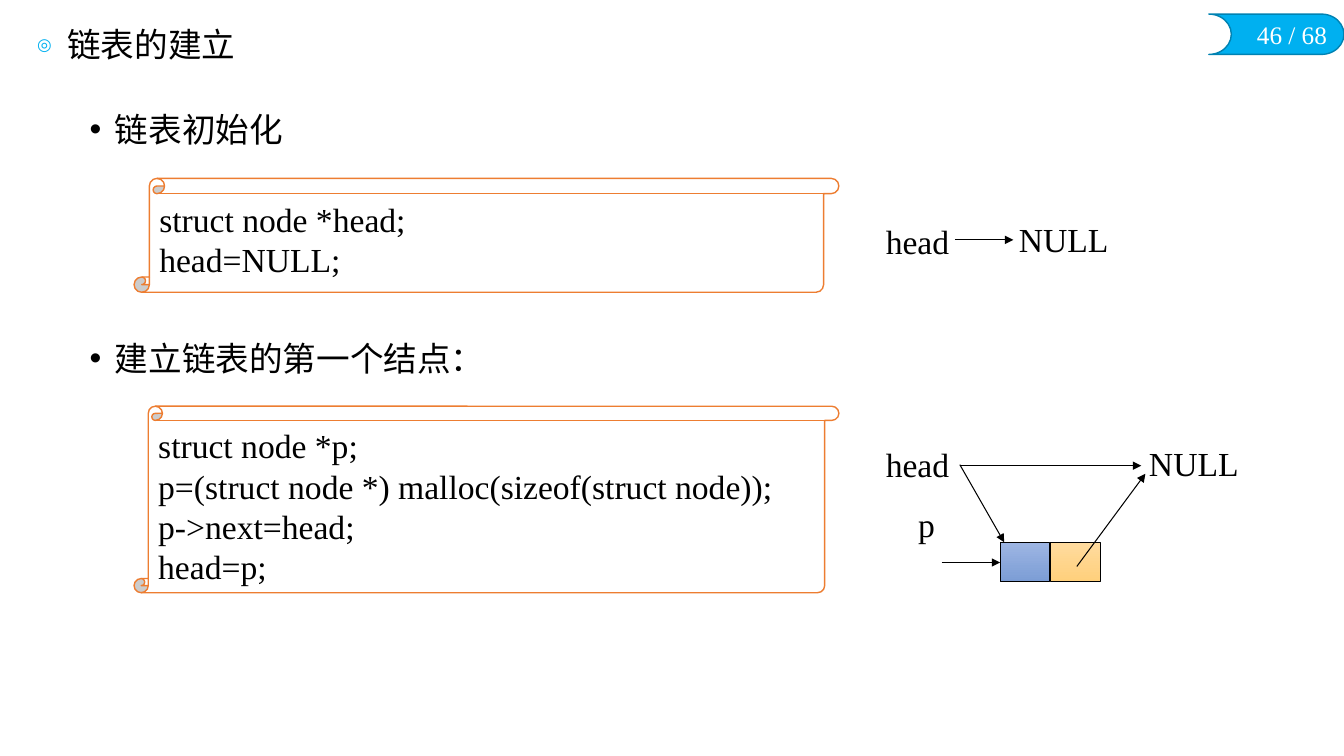
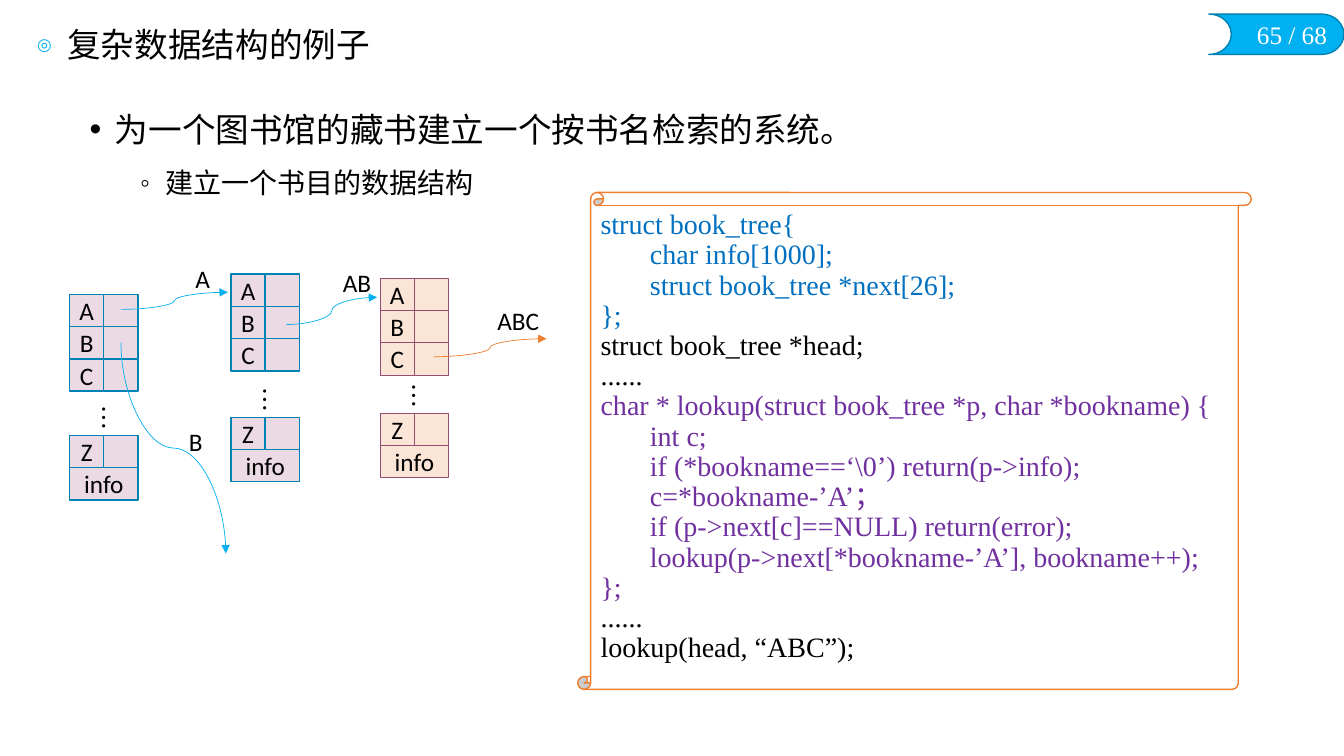
from dataclasses import dataclass

from lxml.etree import SubElement
from pptx import Presentation
from pptx.dml.color import RGBColor as RGB
from pptx.enum.shapes import MSO_CONNECTOR as LINK, MSO_SHAPE as SHAPE
from pptx.enum.text import MSO_ANCHOR as ANCHOR, PP_ALIGN as ALIGN
from pptx.oxml.ns import qn
from pptx.util import Inches, Pt


@dataclass(frozen=True)
class Theme:
    serif: str = "Times New Roman"
    sans: str = "Calibri"
    cjk: str = "Noto Sans CJK SC"
    black: str = "000000"
    white: str = "FFFFFF"
    accent: str = "00B0F0"
    edge: str = "0082B2"
    orange: str = "ED7D31"
    struct_code: str = "0070C0"
    lookup_code: str = "7030A0"
    mauve: str = "EBDAE3"
    peach: str = "FBE5D6"
    plum: str = "954F72"
    data_field: tuple = ("9DB5E3", "7C9DD5")
    next_field: tuple = ("FFDB9E", "FFD07C")
    large: int = 24
    medium: int = 20
    small: int = 18


THEME = Theme()
PAGE_TOTAL = 68
CELL_W, CELL_H = 0.34, 0.32
TAB_STEP = 0.49


def add_run(paragraph, text, size, color=THEME.black, font=THEME.serif):
    run = paragraph.add_run()
    run.text = text
    run.font.size = Pt(size)
    run.font.name = font
    run.font.color.rgb = RGB.from_string(color)
    SubElement(run.font._element, qn("a:ea"), typeface=THEME.cjk)


def set_margins(frame, horizontal, vertical):
    frame.margin_left = frame.margin_right = Inches(horizontal)
    frame.margin_top = frame.margin_bottom = Inches(vertical)


def add_text_frame(slide, left, top, width, height, anchor=ANCHOR.TOP):
    box = slide.shapes.add_textbox(*map(Inches, (left, top, width, height)))
    frame = box.text_frame
    frame.word_wrap = True
    frame.vertical_anchor = anchor
    return frame


def add_panel(slide, preset, box, fill, edge, edge_width):
    panel = slide.shapes.add_shape(preset, *map(Inches, box))
    panel.shadow.inherit = False
    if isinstance(fill, tuple):
        panel.fill.gradient()
        panel.fill.gradient_angle = 270
        for stop, color in zip(panel.fill.gradient_stops, fill):
            stop.color.rgb = RGB.from_string(color)
    else:
        panel.fill.solid()
        panel.fill.fore_color.rgb = RGB.from_string(fill)
    panel.line.color.rgb = RGB.from_string(edge)
    panel.line.width = Pt(edge_width)
    return panel


def set_bullet(paragraph, mark, indent, hanging, color=None, percent=None):
    props = paragraph._p.get_or_add_pPr()
    props.set("marL", str(Inches(indent)))
    props.set("indent", str(-Inches(hanging)))
    if color:
        SubElement(SubElement(props, qn("a:buClr")), qn("a:srgbClr"), val=color)
    if percent:
        SubElement(props, qn("a:buSzPct"), val=str(percent * 1000))
    SubElement(props, qn("a:buFont"), typeface="Arial")
    SubElement(props, qn("a:buChar"), char=mark)


def add_bullets(slide, top, main, sub=None):
    frame = add_text_frame(slide, 0.79, top, 11.71, 1.2 if sub else 0.6)
    paragraph = frame.paragraphs[0]
    set_bullet(paragraph, "•", 0.25, 0.25)
    paragraph.space_after = Pt(6)
    add_run(paragraph, main, THEME.large)
    if sub:
        paragraph = frame.add_paragraph()
        set_bullet(paragraph, "◦", 0.75, 0.25)
        paragraph.space_before = Pt(6)
        add_run(paragraph, sub, THEME.medium)


def add_page(deck, title, number):
    slide = deck.slides.add_slide(deck.slide_layouts[6])
    badge = add_panel(slide, SHAPE.FLOWCHART_STORED_DATA, (11.99, 0.14, 1.34, 0.4),
                      THEME.accent, THEME.edge, 1)
    badge._element.spPr.find(qn("a:xfrm")).set("flipH", "1")
    page = add_text_frame(slide, 12.16, 0.14, 1.1, 0.4).paragraphs[0]
    page.alignment = ALIGN.RIGHT
    add_run(page, f"{number} / {PAGE_TOTAL}", THEME.small, THEME.white)
    heading = add_text_frame(slide, 0.27, 0.23, 6.37, 0.46, ANCHOR.MIDDLE).paragraphs[0]
    set_bullet(heading, "◎", 0.3, 0.3, THEME.accent, 50)
    heading.line_spacing = 0.9
    add_run(heading, title, THEME.large)
    return slide


def add_code(slide, box, curl, sections, size, spacing=1.0):
    scroll = add_panel(slide, SHAPE.VERTICAL_SCROLL, box, THEME.white, THEME.orange, 1)
    scroll.adjustments[0] = curl
    frame = scroll.text_frame
    frame.word_wrap = True
    frame.vertical_anchor = ANCHOR.TOP
    lines = [(line, color) for color, code in sections for line in code.split("\n")]
    for index, (line, color) in enumerate(lines):
        paragraph = frame.add_paragraph() if index else frame.paragraphs[0]
        tabs = SubElement(paragraph._p.get_or_add_pPr(), qn("a:tabLst"))
        SubElement(tabs, qn("a:tab"), pos=str(Inches(TAB_STEP)), algn="l")
        paragraph.alignment = ALIGN.LEFT
        paragraph.line_spacing = spacing
        add_run(paragraph, line, size, color)


def add_label(slide, text, center_x, center_y, size, font=THEME.serif):
    width, height = 1.2, 0.5
    frame = add_text_frame(slide, center_x - width / 2, center_y - height / 2,
                           width, height, ANCHOR.MIDDLE)
    set_margins(frame, 0, 0)
    frame.paragraphs[0].alignment = ALIGN.CENTER
    add_run(frame.paragraphs[0], text, size, font=font)


def add_arrow(slide, start, end, color=THEME.black, width=0.75,
              kind=LINK.STRAIGHT, downward=False):
    (x1, y1), (x2, y2) = start, end
    if downward:
        mid_x, mid_y = (x1 + x2) / 2, (y1 + y2) / 2
        half_w, half_h = (y2 - y1) / 2, (x2 - x1) / 2
        x1, y1, x2, y2 = mid_x + half_w, mid_y - half_h, mid_x - half_w, mid_y + half_h
    arrow = slide.shapes.add_connector(kind, *map(Inches, (x1, y1, x2, y2)))
    arrow.line.color.rgb = RGB.from_string(color)
    arrow.line.width = Pt(width)
    props = arrow._element.spPr
    if downward:
        props.find(qn("a:xfrm")).set("rot", str(270 * 60000))
    SubElement(props.find(qn("a:ln")), qn("a:tailEnd"), type="triangle")
    SubElement(props, qn("a:effectLst"))


def add_cell(slide, left, top, style, text="", width=CELL_W):
    cell = add_panel(slide, SHAPE.RECTANGLE, (left, top, width, CELL_H), *style)
    if text:
        frame = cell.text_frame
        set_margins(frame, 0, 0)
        frame.vertical_anchor = ANCHOR.MIDDLE
        frame.paragraphs[0].alignment = ALIGN.CENTER
        add_run(frame.paragraphs[0], text, THEME.small, font=THEME.sans)


def add_tree_node(slide, left, top, last_top, style):
    rows = [(letter, top + index * CELL_H) for index, letter in enumerate("ABC")]
    for letter, row_top in rows + [("Z", last_top)]:
        add_cell(slide, left, row_top, style, letter)
        add_cell(slide, left + CELL_W, row_top, style)
    add_cell(slide, left, last_top + CELL_H, style, "info", 2 * CELL_W)
    add_label(slide, "︙", left + CELL_W, last_top - 0.18, THEME.small, THEME.cjk)


def build_list_page(deck):
    slide = add_page(deck, "链表的建立", 46)
    add_bullets(slide, 1.03, "链表初始化")
    add_bullets(slide, 3.3, "建立链表的第一个结点：")
    init_code = "struct node *head;\nhead=NULL;"
    first_node_code = ("struct node *p;\n"
                       "p=(struct node *) malloc(sizeof(struct node));\n"
                       "p->next=head;\nhead=p;")
    for top, height, curl, code in ((1.77, 1.13, 0.134, init_code),
                                    (4.03, 1.85, 0.076, first_node_code)):
        add_code(slide, (1.33, top, 6.99, height), curl, [(THEME.black, code)], THEME.large)

    for left, fill in ((9.92, THEME.data_field), (10.42, THEME.next_field)):
        add_panel(slide, SHAPE.RECTANGLE, (left, 5.38, 0.49, 0.39), fill, THEME.black, 0.5)
    for start, end in (((9.47, 2.38), (10.05, 2.38)),
                       ((9.34, 5.58), (9.92, 5.58)),
                       ((9.52, 4.62), (11.32, 4.62)),
                       ((9.52, 4.61), (9.96, 5.38)),
                       ((10.68, 5.62), (11.36, 4.7))):
        add_arrow(slide, start, end)
    for text, x, y in (("head", 9.1, 2.39), ("NULL", 10.55, 2.37),
                       ("head", 9.1, 4.6), ("NULL", 11.84, 4.59), ("p", 9.19, 5.2)):
        add_label(slide, text, x, y, THEME.large)


def build_tree_page(deck):
    slide = add_page(deck, "复杂数据结构的例子", 65)
    add_bullets(slide, 1.03, "为一个图书馆的藏书建立一个按书名检索的系统。",
                "建立一个书目的数据结构")

    mauve_cell = (THEME.mauve, THEME.edge, 1)
    peach_cell = (THEME.peach, THEME.plum, 0.5)
    for left, top, last_top, style in ((0.69, 2.92, 4.32, mauve_cell),
                                       (2.29, 2.72, 4.14, mauve_cell),
                                       (3.77, 2.76, 4.1, peach_cell)):
        add_tree_node(slide, left, top, last_top, style)

    for start, end, color, downward in (
            ((1.2, 3.07), (2.26, 2.9), THEME.accent, False),
            ((1.2, 3.4), (2.24, 5.49), THEME.accent, True),
            ((2.84, 3.22), (3.74, 2.95), THEME.accent, False),
            ((4.3, 3.54), (5.42, 3.36), THEME.orange, False)):
        add_arrow(slide, start, end, color, 0.5, LINK.CURVE, downward)
    for prefix, x, y in (("A", 2.01, 2.76), ("AB", 3.54, 2.8),
                         ("ABC", 5.14, 3.18), ("B", 1.94, 4.38)):
        add_label(slide, prefix, x, y, THEME.small, THEME.sans)

    sections = [
        (THEME.struct_code,
         "struct book_tree{\n"
         "\tchar info[1000];\n"
         "\tstruct book_tree *next[26];\n"
         "};"),
        (THEME.black, "struct book_tree *head;\n......"),
        (THEME.lookup_code,
         "char * lookup(struct book_tree *p, char *bookname) {\n"
         "\tint c;\n"
         "\tif (*bookname==‘\\0’) return(p->info);\n"
         "\tc=*bookname-’A’；\n"
         "\tif (p->next[c]==NULL) return(error);\n"
         "\tlookup(p->next[*bookname-’A’], bookname++);\n"
         "};"),
        (THEME.black, "......\nlookup(head, “ABC”);"),
    ]
    add_code(slide, (5.73, 1.91, 6.68, 4.93), 0.026, sections, THEME.medium, 0.9)


def main():
    deck = Presentation()
    deck.slide_width, deck.slide_height = Inches(13.33), Inches(7.5)
    build_list_page(deck)
    build_tree_page(deck)
    deck.save("out.pptx")


if __name__ == "__main__":
    main()
